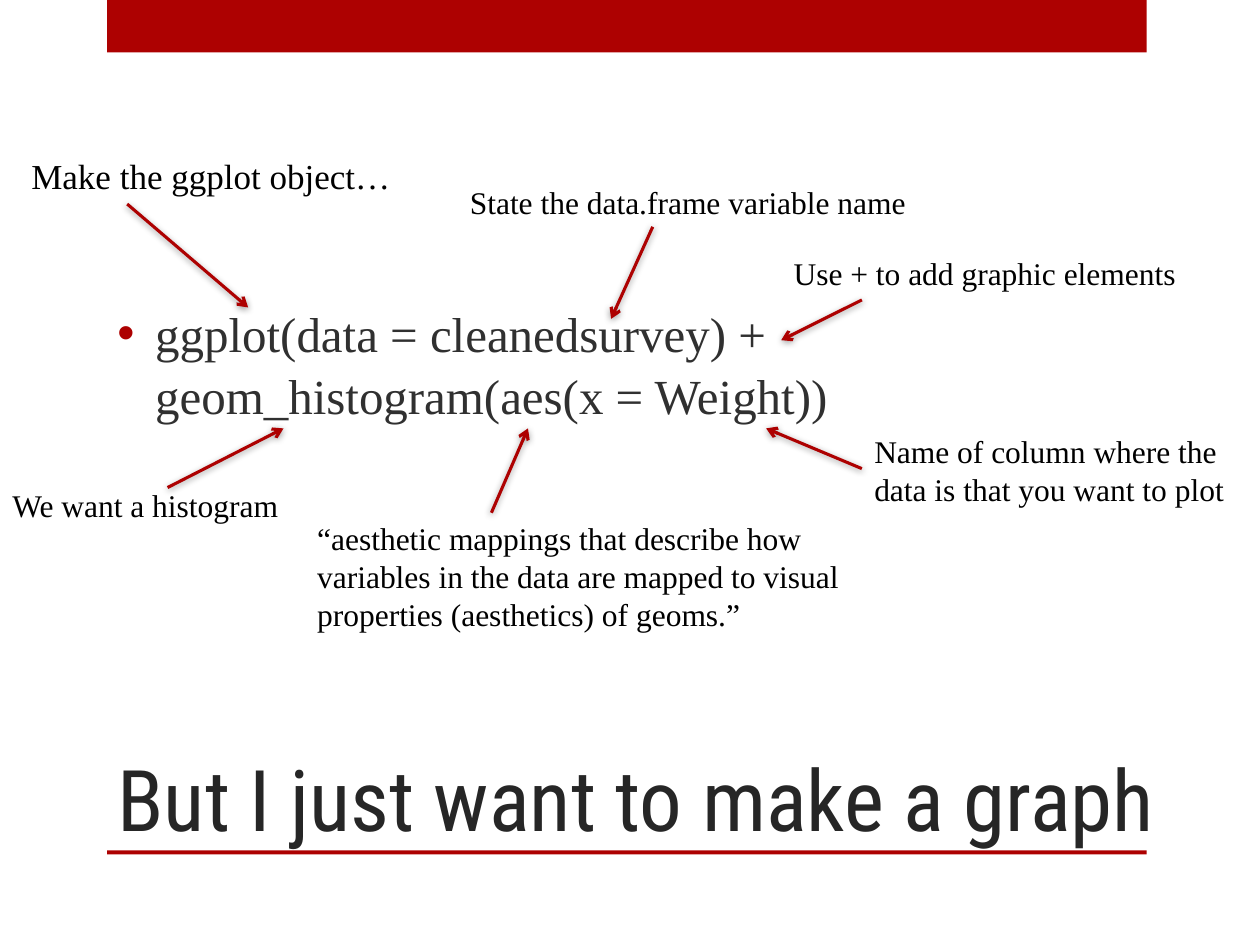
"""Build a slide that annotates each part of a ggplot call."""
from dataclasses import dataclass

import lxml.etree
import pptx
import pptx.dml.color
import pptx.enum.shapes
import pptx.enum.text
import pptx.oxml.ns
import pptx.util

Pt = pptx.util.Pt
qualified = pptx.oxml.ns.qn
Color = pptx.dml.color.RGBColor.from_string
Anchor = pptx.enum.text.MSO_ANCHOR


@dataclass(frozen=True)
class Theme:
    """Colours, fonts and type sizes of the slide."""

    accent: str = "AD0101"
    title: str = "262626"
    code: str = "303030"
    note: str = "000000"
    heading_font: str = "Roboto Condensed"
    body_font: str = "Times New Roman"
    title_size: float = 48.6
    code_size: float = 28
    lead_size: float = 20
    note_size: float = 18


THEME = Theme()

BARS = [(0, 30), (486, 2.2)]

NOTES = [
    ("Make the ggplot object…", (10.8, 85, 221.8, 31.7), THEME.lead_size, False),
    ("State the data.frame variable name", (261.4, 100.8, 271.4, 28.8), THEME.note_size, False),
    ("Use + to add graphic elements", (446.4, 141.8, 235.4, 28.8), THEME.note_size, False),
    ("We want a histogram", (0, 274.3, 167.8, 28.8), THEME.note_size, False),
    ("“aesthetic mappings that describe how variables in the data are mapped to visual "
     "properties (aesthetics) of geoms.”", (174.2, 293, 360, 72.7), THEME.note_size, True),
    ("Name of column where the\ndata is that you want to plot",
     (492.5, 243.4, 221.8, 51.1), THEME.note_size, False),
]

ARROWS = [
    ((72.7, 116.6), (141.8, 175.7)),
    ((373, 129.6), (349.2, 182.2)),
    ((492.5, 171.4), (446.4, 194.4)),
    ((280.8, 293), (301.7, 244.8)),
    ((95.8, 278.6), (162, 244.8)),
    ((492.5, 267.8), (437.8, 244.8)),
]


def style_font(paragraph, name, size, color):
    """Set the typeface, size and colour of a paragraph."""
    paragraph.font.name = name
    paragraph.font.size = Pt(size)
    paragraph.font.color.rgb = Color(color)


def add_bar(slide, top, height):
    """Add a horizontal accent bar."""
    shape = slide.shapes.add_shape(
        pptx.enum.shapes.MSO_SHAPE.RECTANGLE, Pt(61.2), Pt(top), Pt(594), Pt(height))
    shape.shadow.inherit = False
    shape.fill.solid()
    shape.fill.fore_color.rgb = Color(THEME.accent)
    shape.line.fill.background()


def set_title(slide, text):
    """Place and format the title."""
    title = slide.shapes.title
    title.left, title.top, title.width, title.height = map(Pt, (60, 360, 660, 126))
    frame = title.text_frame
    frame.text = text
    frame.word_wrap = True
    frame.auto_size = pptx.enum.text.MSO_AUTO_SIZE.NONE
    frame.vertical_anchor = Anchor.BOTTOM
    frame.margin_bottom = Pt(1)
    paragraph = frame.paragraphs[0]
    paragraph.alignment = pptx.enum.text.PP_ALIGN.LEFT
    style_font(paragraph, THEME.heading_font, THEME.title_size, THEME.title)


def add_text(slide, text, box, size, color, wrap):
    """Add a text box and return its text frame."""
    frame = slide.shapes.add_textbox(*map(Pt, box)).text_frame
    frame.word_wrap = wrap
    paragraph = frame.paragraphs[0]
    for index, line in enumerate(text.splitlines()):
        if index:
            paragraph.add_line_break()
        paragraph.add_run().text = line
    style_font(paragraph, THEME.body_font, size, color)
    return frame


def add_code(slide, text):
    """Add the bulleted code in the middle of the slide."""
    frame = add_text(slide, text, (60, 54, 594, 306), THEME.code_size, THEME.code, True)
    frame.vertical_anchor = Anchor.MIDDLE
    paragraph = frame.paragraphs[0]
    paragraph.line_spacing = 1.05
    paragraph.space_before = Pt(5.6)
    properties = paragraph._p.get_or_add_pPr()
    properties.set("marL", str(Pt(21.6)))
    properties.set("indent", str(-Pt(21.6)))
    bullet_color = lxml.etree.Element(qualified("a:buClr"))
    lxml.etree.SubElement(bullet_color, qualified("a:srgbClr"), val=THEME.accent)
    bullet_font = lxml.etree.Element(qualified("a:buFont"), typeface="Arial")
    bullet = lxml.etree.Element(qualified("a:buChar"), char="•")
    properties.find(qualified("a:spcBef")).addnext(bullet_color)
    bullet_color.addnext(bullet_font)
    bullet_font.addnext(bullet)


def add_arrow(slide, start, end):
    """Add an accent arrow with a soft shadow."""
    arrow = slide.shapes.add_connector(
        pptx.enum.shapes.MSO_CONNECTOR.STRAIGHT, *map(Pt, start + end))
    arrow.line.color.rgb = Color(THEME.accent)
    arrow.line.width = Pt(1.75)
    lxml.etree.SubElement(arrow.line._get_or_add_ln(), qualified("a:tailEnd"), type="arrow")
    effects = lxml.etree.SubElement(arrow._element.spPr, qualified("a:effectLst"))
    shadow = lxml.etree.SubElement(
        effects, qualified("a:outerShdw"), blurRad=str(Pt(4)), dist=str(Pt(1)),
        dir=str(88 * 60000), rotWithShape="0")
    color = lxml.etree.SubElement(shadow, qualified("a:srgbClr"), val=THEME.note)
    lxml.etree.SubElement(color, qualified("a:alpha"), val="40000")


def main():
    """Build and save the slide."""
    presentation = pptx.Presentation()
    presentation.slide_width, presentation.slide_height = Pt(720), Pt(540)
    slide = presentation.slides.add_slide(presentation.slide_layouts.get_by_name("Title Only"))
    for top, height in BARS:
        add_bar(slide, top, height)
    set_title(slide, "But I just want to make a graph")
    add_code(slide, "ggplot(data = cleanedsurvey) + geom_histogram(aes(x = Weight))")
    for start, end in ARROWS:
        add_arrow(slide, start, end)
    for text, box, size, wrap in NOTES:
        add_text(slide, text, box, size, THEME.note, wrap)
    presentation.save("out.pptx")


if __name__ == "__main__":
    main()
